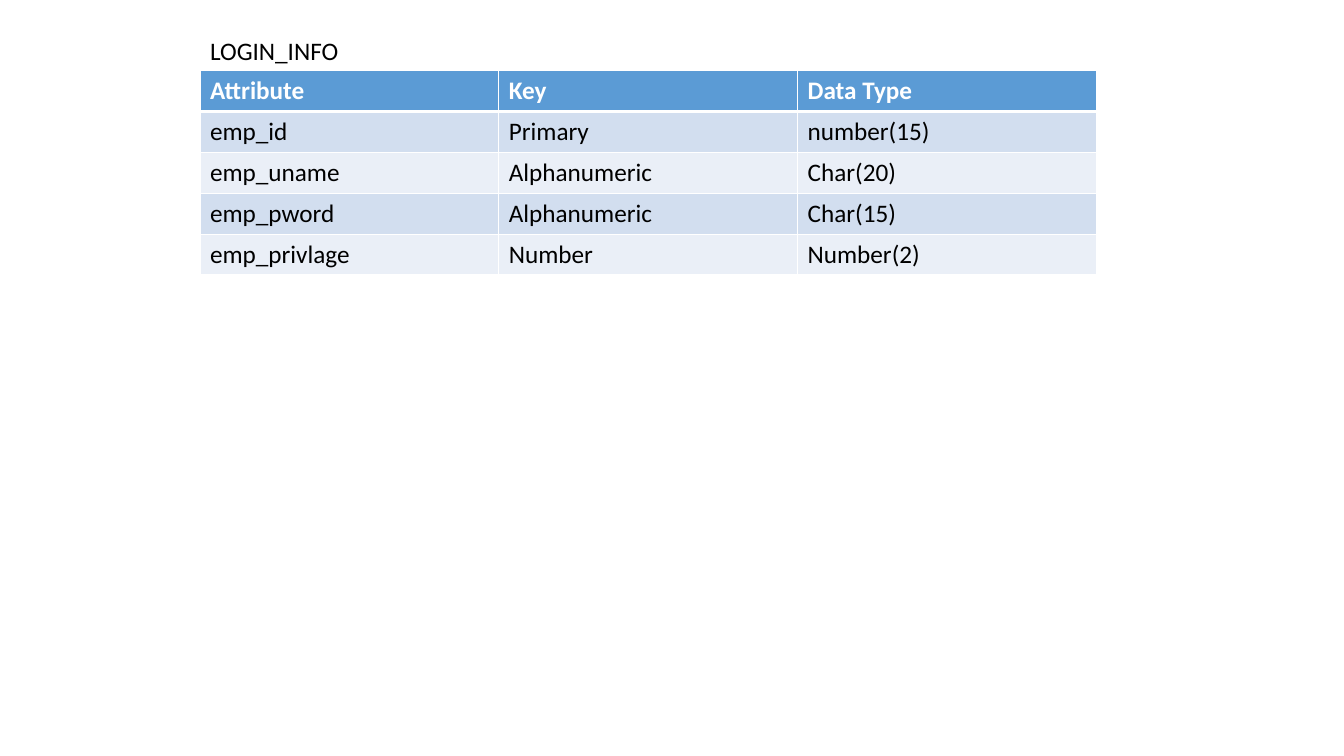
from dataclasses import dataclass

from lxml.etree import SubElement
from pptx import Presentation
from pptx.dml.color import RGBColor
from pptx.enum.text import MSO_ANCHOR, MSO_AUTO_SIZE, PP_ALIGN
from pptx.oxml.ns import qn
from pptx.table import _Cell as Cell
from pptx.text.text import _Paragraph as Paragraph
from pptx.util import Cm, Pt

FONT = "Calibri"
FONT_SIZE = Pt(18)
COLORS = {
    "text": "000000",
    "white": "FFFFFF",
    "header": "5B9BD5",
    "odd_row": "D2DEEF",
    "even_row": "EAEFF7",
}
LEFT = Cm(5.04)
TABLE_TOP = Cm(1.78)
COLUMN_WIDTH = Cm(7.53)
ROW_HEIGHT = Cm(1.03)
THIN, THICK = Pt(1), Pt(3)


@dataclass(frozen=True)
class Field:
    attribute: str
    key: str
    data_type: str

    def texts(self) -> tuple[str, str, str]:
        return self.attribute, self.key, self.data_type


HEADER = Field("Attribute", "Key", "Data Type")
FIELDS = [
    Field("emp_id", "Primary", "number(15)"),
    Field("emp_uname", "Alphanumeric", "Char(20)"),
    Field("emp_pword", "Alphanumeric", "Char(15)"),
    Field("emp_privlage", "Number", "Number(2)"),
]


def add_run(paragraph: Paragraph, text: str, color: str, bold: bool = False) -> None:
    paragraph.alignment = PP_ALIGN.LEFT
    run = paragraph.add_run()
    run.text = text
    run.font.name = FONT
    run.font.size = FONT_SIZE
    run.font.bold = bold
    run.font.color.rgb = RGBColor.from_string(COLORS[color])


def set_borders(cell: Cell, top: int, bottom: int) -> None:
    properties = cell._tc.get_or_add_tcPr()
    widths = {"a:lnL": THIN, "a:lnR": THIN, "a:lnT": top, "a:lnB": bottom}
    for tag, width in widths.items():
        line = SubElement(properties, qn(tag), w=str(int(width)))
        fill = SubElement(line, qn("a:solidFill"))
        SubElement(fill, qn("a:srgbClr"), val=COLORS["white"])


def fill_row(cells: list[Cell], field: Field, row_index: int) -> None:
    is_header = row_index == 0
    band = "header" if is_header else "odd_row" if row_index % 2 else "even_row"
    for cell, text in zip(cells, field.texts()):
        set_borders(
            cell,
            top=THICK if row_index == 1 else THIN,
            bottom=THICK if is_header else THIN,
        )
        cell.fill.solid()
        cell.fill.fore_color.rgb = RGBColor.from_string(COLORS[band])
        add_run(
            cell.text_frame.paragraphs[0],
            text,
            "white" if is_header else "text",
            bold=is_header,
        )


presentation = Presentation()
presentation.slide_width = Cm(33.87)
presentation.slide_height = Cm(19.05)
slide = presentation.slides.add_slide(presentation.slide_layouts[5])

# Table name as the slide title
title = slide.shapes.title
title.left, title.top = LEFT, TABLE_TOP - ROW_HEIGHT
title.width, title.height = Cm(3.78), ROW_HEIGHT
title.text_frame.word_wrap = False
title.text_frame.auto_size = MSO_AUTO_SIZE.NONE
title.text_frame.vertical_anchor = MSO_ANCHOR.TOP
add_run(title.text_frame.paragraphs[0], "LOGIN_INFO", "text")

# Field definitions
rows = [HEADER, *FIELDS]
column_count = len(HEADER.texts())
table = slide.shapes.add_table(
    len(rows), column_count, LEFT, TABLE_TOP,
    COLUMN_WIDTH * column_count, ROW_HEIGHT * len(rows),
).table
for column in table.columns:
    column.width = COLUMN_WIDTH
for row_index, (row, field) in enumerate(zip(table.rows, rows)):
    row.height = ROW_HEIGHT
    fill_row(list(row.cells), field, row_index)

presentation.save("out.pptx")
